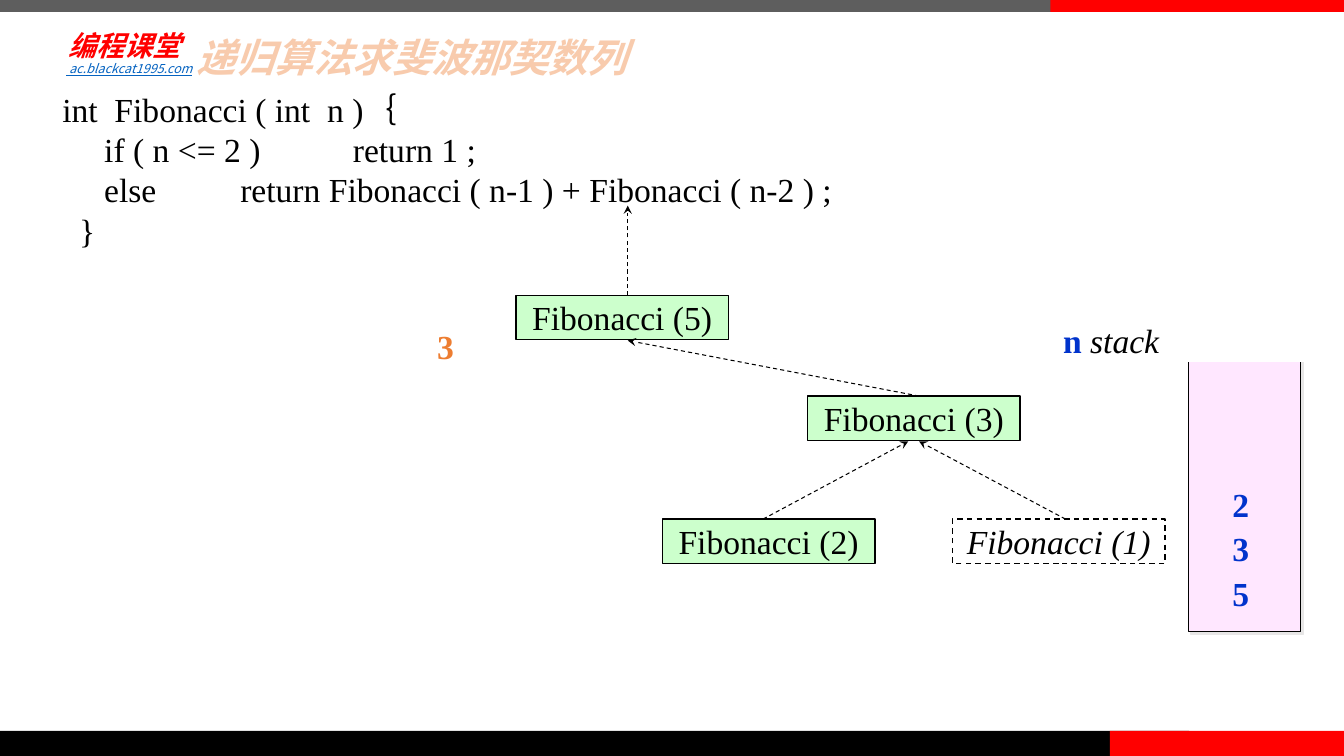
from lxml.etree import SubElement
from pptx import Presentation
from pptx.dml.color import RGBColor
from pptx.enum.dml import MSO_LINE
from pptx.enum.shapes import MSO_CONNECTOR, MSO_SHAPE
from pptx.enum.text import MSO_ANCHOR, PP_ALIGN
from pptx.oxml.ns import qn
from pptx.util import Cm, Pt

SERIF, SANS = "Times New Roman", "Noto Sans CJK SC"
BLACK, WHITE, RED, BLUE = "000000", "FFFFFF", "FF0000", "0033CC"
GREEN, ORANGE, PINK = "CCFFCC", "ED7D31", "FFE7FF"
rgb = RGBColor.from_string

presentation = Presentation()
presentation.slide_width, presentation.slide_height = Cm(33.87), Cm(19.05)
slide = presentation.slides.add_slide(presentation.slide_layouts[6])


def add_box(left, top, width, height, fill=None, line=None):
    shape = slide.shapes.add_shape(
        MSO_SHAPE.RECTANGLE, Cm(left), Cm(top), Cm(width), Cm(height))
    shape.shadow.inherit = False
    if fill:
        shape.fill.solid()
        shape.fill.fore_color.rgb = rgb(fill)
    else:
        shape.fill.background()
    if line:
        shape.line.color.rgb = rgb(line)
        shape.line.width = Pt(1)
    else:
        shape.line.fill.background()
    return shape


def write(shape, text, size, color, font=SERIF, bold=False, italic=False,
          align=PP_ALIGN.LEFT, anchor=MSO_ANCHOR.TOP, wrap=False, spacing=None):
    frame = shape.text_frame
    frame.text = text
    frame.word_wrap = wrap
    frame.vertical_anchor = anchor
    for paragraph in frame.paragraphs:
        paragraph.alignment = align
        paragraph.line_spacing = spacing
        for run in paragraph.runs:
            run.font.name, run.font.size = font, Pt(size)
            run.font.bold, run.font.italic = bold, italic
            run.font.color.rgb = rgb(color)
            SubElement(run.font._element, qn("a:ea"), typeface=SANS)
    return frame


for left, top, width, height, color in [
    (0, 0, 27.46, 0.3, "5E5E5E"),
    (0, 18.42, 29.97, 0.63, BLACK),
    (27.97, 18.42, 5.9, 0.63, RED),
    (26.47, 0, 7.4, 0.3, RED),
]:
    add_box(left, top, width, height, color)

school = write(add_box(1.57, 0.56, 3.25, 1.14), "编程课堂", 20, RED, "Calibri",
               bold=True, italic=True, anchor=MSO_ANCHOR.MIDDLE)
school.margin_left = school.margin_right = Cm(0.15)

title = write(add_box(4.62, 0.89, 28.24, 1.37), "递归算法求斐波那契数列", 28,
              "F8CBAD", SANS, bold=True, italic=True, wrap=True, spacing=0.8)
title.margin_left = title.margin_right = Cm(0.33)
title.margin_top = title.margin_bottom = Cm(0.18)

address = write(add_box(1.42, 1.42, 14.43, 0.64), " ac.blackcat1995.com", 9,
                "0563C1", SANS, italic=True, wrap=True)
address.paragraphs[0].runs[0].font.underline = True

code = """int  Fibonacci ( int  n )｛
     if ( n <= 2 )           return 1 ;
     else          return Fibonacci ( n-1 ) + Fibonacci ( n-2 ) ;
  }"""
write(add_box(1.32, 2.11, 20.09, 4.37), code, 24, BLACK)

for argument, left, top in [(5, 13, 7.44), (3, 20.35, 9.98),
                            (2, 16.69, 13.08), (1, 24, 13.08)]:
    pending = argument == 1
    call = add_box(left, top, 5.36, 1.12, WHITE if pending else GREEN, BLACK)
    if pending:
        call.line.dash_style = MSO_LINE.DASH
    write(call, f"Fibonacci ({argument})", 24, BLACK, italic=pending,
          align=PP_ALIGN.CENTER, anchor=MSO_ANCHOR.MIDDLE)

for start_x, start_y, end_x, end_y in [
    (15.82, 7.44, 15.82, 5.18),
    (23.16, 9.98, 15.82, 8.58),
    (19.23, 13.08, 22.89, 11.12),
    (26.85, 13.08, 23.16, 11.12),
]:
    arrow = slide.shapes.add_connector(
        MSO_CONNECTOR.STRAIGHT, Cm(start_x), Cm(start_y), Cm(end_x), Cm(end_y))
    arrow.line.color.rgb = rgb(BLACK)
    arrow.line.width = Pt(0.75)
    arrow.line.dash_style = MSO_LINE.DASH
    SubElement(arrow.line._get_or_add_ln(), qn("a:tailEnd"), type="stealth")
    SubElement(arrow._element.spPr, qn("a:effectLst"))

stack = add_box(29.95, 8.86, 2.82, 7.06, PINK, BLACK)
effects = stack._element.spPr.find(qn("a:effectLst"))
shadow = SubElement(effects, qn("a:outerShdw"), dist=str(Pt(2.8)),
                    dir="2700000", algn="ctr", rotWithShape="0")
SubElement(shadow, qn("a:srgbClr"), val="E7E6E6")

label = write(add_box(26.54, 8, 6.78, 1.12, WHITE), "n ", 24, BLUE, bold=True,
              anchor=MSO_ANCHOR.MIDDLE)
word = label.paragraphs[0].add_run()
word.text = "stack"
word.font.name, word.font.size, word.font.italic = SERIF, Pt(24), True
word.font.color.rgb = rgb(BLACK)

numbers = [("3", 10.77, 8.36, ORANGE)]
numbers += [(value, 30.81, 12.34 + 1.12 * row, BLUE)
            for row, value in enumerate("235")]
for value, left, top, color in numbers:
    write(add_box(left, top, 0.94, 0.99), value, 24, color, bold=True, spacing=0.7)

presentation.save("out.pptx")
